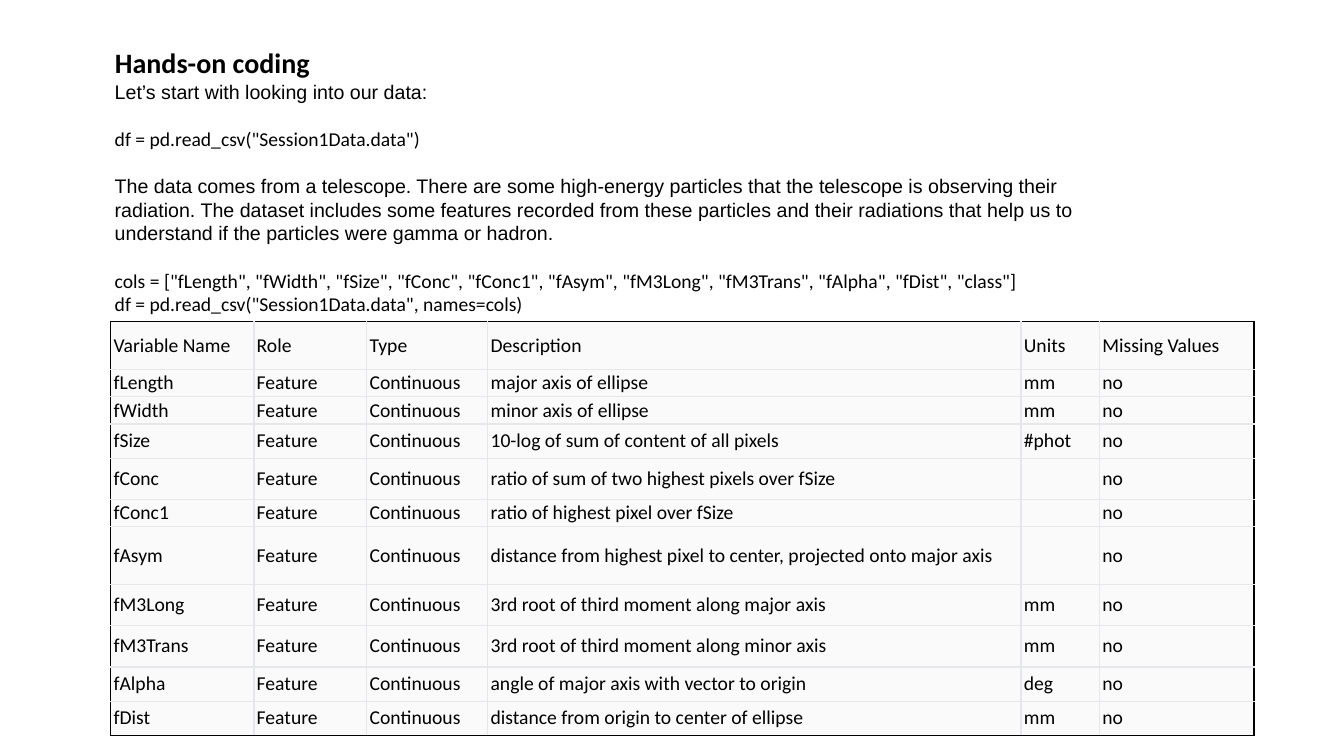
from dataclasses import dataclass

from lxml.etree import SubElement
from pptx import Presentation
from pptx.dml.color import RGBColor
from pptx.enum.text import MSO_ANCHOR as Anchor, MSO_AUTO_SIZE as AutoSize, PP_ALIGN as Align
from pptx.oxml.ns import qn
from pptx.util import Emu, Inches, Pt

SLIDE_WIDTH, SLIDE_HEIGHT = Inches(13.33), Inches(7.5)


@dataclass(frozen=True)
class Theme:
    """Colours, fonts and sizes of the slide."""

    ink: str = "000000"
    grid: str = "E5E7EB"
    cell: str = "FAFAFA"
    prose: str = "Arial"
    code: str = "Calibri"
    title_size: int = 20
    text_size: int = 14
    block_gap: int = 17
    border: int = 1


THEME = Theme()

INTRODUCTION = [
    (THEME.prose, ["Let’s start with looking into our data:"]),
    (THEME.code, ['df = pd.read_csv("Session1Data.data")']),
    (THEME.prose, [
        "The data comes from a telescope. There are some high-energy particles that the "
        "telescope is observing their radiation. The dataset includes some features recorded "
        "from these particles and their radiations that help us to understand if the particles "
        "were gamma or hadron."]),
    (THEME.code, [
        'cols = ["fLength", "fWidth", "fSize", "fConc", "fConc1", "fAsym", "fM3Long", '
        '"fM3Trans", "fAlpha", "fDist", "class"]',
        'df = pd.read_csv("Session1Data.data", names=cols)']),
]

HEADER = ("Variable Name", "Role", "Type", "Description", "Units", "Missing Values")
COLUMN_SHARES = (10.65, 8.4, 9, 39.68, 5.85, 11.48)
HEADER_SHARE = 6.4
VARIABLES = [
    ("fLength", "major axis of ellipse", "mm", 3.6),
    ("fWidth", "minor axis of ellipse", "mm", 3.6),
    ("fSize", "10-log of sum of content of all pixels", "#phot", 4.53),
    ("fConc", "ratio of sum of two highest pixels over fSize", "", 5.47),
    ("fConc1", "ratio of highest pixel over fSize", "", 3.6),
    ("fAsym", "distance from highest pixel to center, projected onto major axis", "", 7.6),
    ("fM3Long", "3rd root of third moment along major axis", "mm", 5.47),
    ("fM3Trans", "3rd root of third moment along minor axis", "mm", 5.47),
    ("fAlpha", "angle of major axis with vector to origin", "deg", 4.53),
    ("fDist", "distance from origin to center of ellipse", "mm", 4.53),
]


def across(percent):
    """Return a percentage of the slide width."""
    return Emu(round(SLIDE_WIDTH * percent / 100))


def down(percent):
    """Return a percentage of the slide height."""
    return Emu(round(SLIDE_HEIGHT * percent / 100))


def add_run(paragraph, text, font_name, size=THEME.text_size, bold=False):
    """Append one formatted run."""
    run = paragraph.add_run()
    run.text = text
    run.font.name = font_name
    run.font.size = Pt(size)
    run.font.bold = bold
    run.font.color.rgb = RGBColor.from_string(THEME.ink)


def prepare_frame(frame, top_margin):
    """Make a text frame wrap from its top edge at a fixed size."""
    frame.word_wrap = True
    frame.auto_size = AutoSize.NONE
    frame.vertical_anchor = Anchor.TOP
    frame.margin_left = frame.margin_right = Inches(0.1)
    frame.margin_top, frame.margin_bottom = top_margin, 0


def add_title(slide, text):
    """Fill and place the title placeholder."""
    title = slide.shapes.title
    title.left, title.top = across(7.8), down(5.33)
    title.width, title.height = across(76.3), down(5.2)
    prepare_frame(title.text_frame, Inches(0.05))
    paragraph = title.text_frame.paragraphs[0]
    paragraph.alignment = Align.LEFT
    add_run(paragraph, text, THEME.code, THEME.title_size, bold=True)


def add_introduction(slide):
    """Write the prose and code blocks under the title."""
    box = slide.shapes.add_textbox(across(7.8), down(10.53), across(76.3), down(32))
    frame = box.text_frame
    prepare_frame(frame, 0)
    for block_index, (font_name, lines) in enumerate(INTRODUCTION):
        for line_index, line in enumerate(lines):
            first = block_index == line_index == 0
            paragraph = frame.paragraphs[0] if first else frame.add_paragraph()
            if block_index and not line_index:
                paragraph.space_before = Pt(THEME.block_gap)
            add_run(paragraph, line, font_name)


def set_border(cell, side, color):
    """Draw one side of a table cell."""
    line = SubElement(cell._tc.get_or_add_tcPr(), qn(f"a:ln{side}"), w=str(Pt(THEME.border)))
    fill = SubElement(line, qn("a:solidFill"))
    SubElement(fill, qn("a:srgbClr"), val=color)


def format_cell(cell, text, outer_sides):
    """Write one cell with its fill, margins and borders."""
    for side in "LRTB":
        set_border(cell, side, THEME.ink if side in outer_sides else THEME.grid)
    cell.fill.solid()
    cell.fill.fore_color.rgb = RGBColor.from_string(THEME.cell)
    cell.vertical_anchor = Anchor.MIDDLE
    cell.margin_left = cell.margin_right = Pt(2)
    cell.margin_top = cell.margin_bottom = Pt(1)
    paragraph = cell.text_frame.paragraphs[0]
    if text:
        add_run(paragraph, text, THEME.code)
    else:
        SubElement(paragraph._p, qn("a:endParaRPr"), sz=str(THEME.text_size * 100))


def add_variable_table(slide):
    """Add the table that describes the variables."""
    rows = [HEADER] + [
        (name, "Feature", "Continuous", description, unit, "no")
        for name, description, unit, _ in VARIABLES]
    row_shares = [HEADER_SHARE] + [share for *_, share in VARIABLES]
    table = slide.shapes.add_table(
        len(rows), len(HEADER), across(8.25), down(42.5),
        across(sum(COLUMN_SHARES)), down(sum(row_shares))).table
    table.first_row = table.horz_banding = False
    for column, share in zip(table.columns, COLUMN_SHARES):
        column.width = across(share)
    for row, share in zip(table.rows, row_shares):
        row.height = down(share)
    for row_index, values in enumerate(rows):
        for column_index, text in enumerate(values):
            edges = {"L": column_index == 0, "R": column_index == len(HEADER) - 1,
                     "T": row_index == 0, "B": row_index == len(rows) - 1}
            outer_sides = [side for side, is_outer in edges.items() if is_outer]
            format_cell(table.cell(row_index, column_index), text, outer_sides)


def main():
    """Build and save the slide."""
    presentation = Presentation()
    presentation.slide_width, presentation.slide_height = SLIDE_WIDTH, SLIDE_HEIGHT
    slide = presentation.slides.add_slide(presentation.slide_layouts.get_by_name("Title Only"))
    add_title(slide, "Hands-on coding")
    add_introduction(slide)
    add_variable_table(slide)
    presentation.save("out.pptx")


if __name__ == "__main__":
    main()
